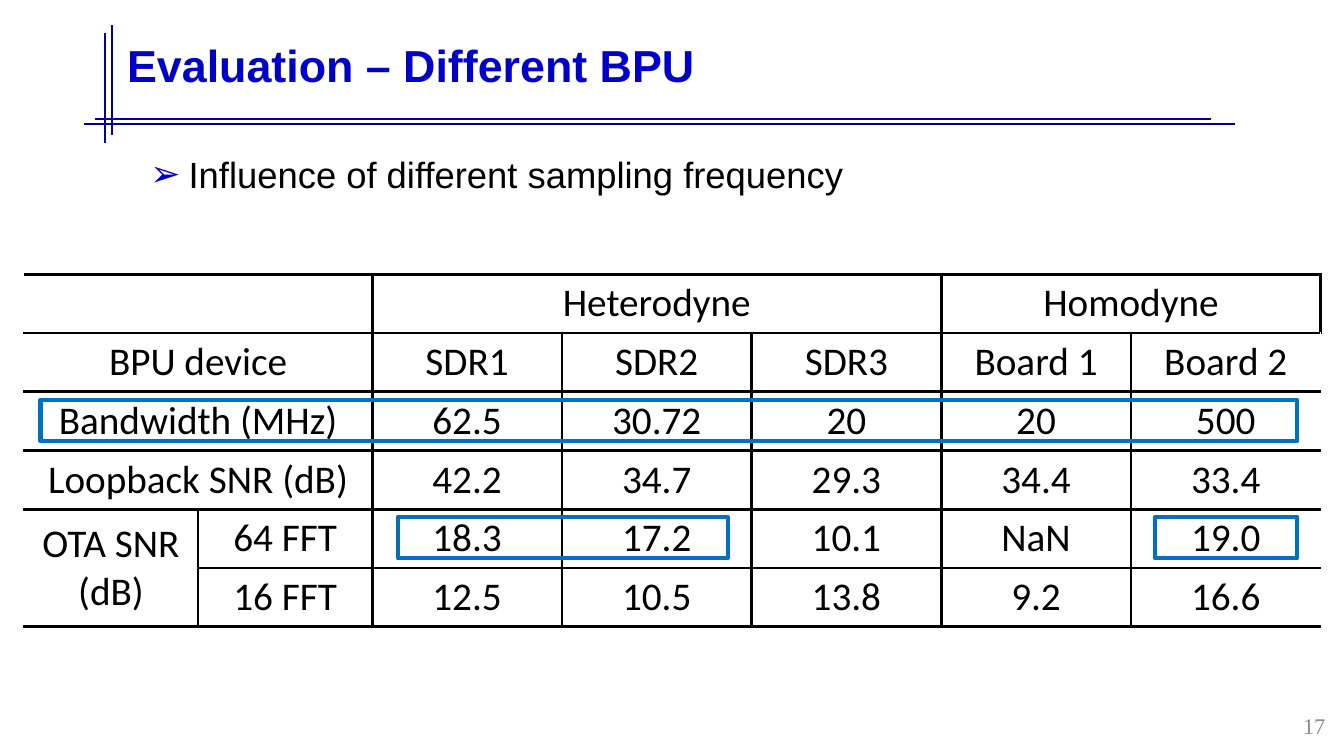
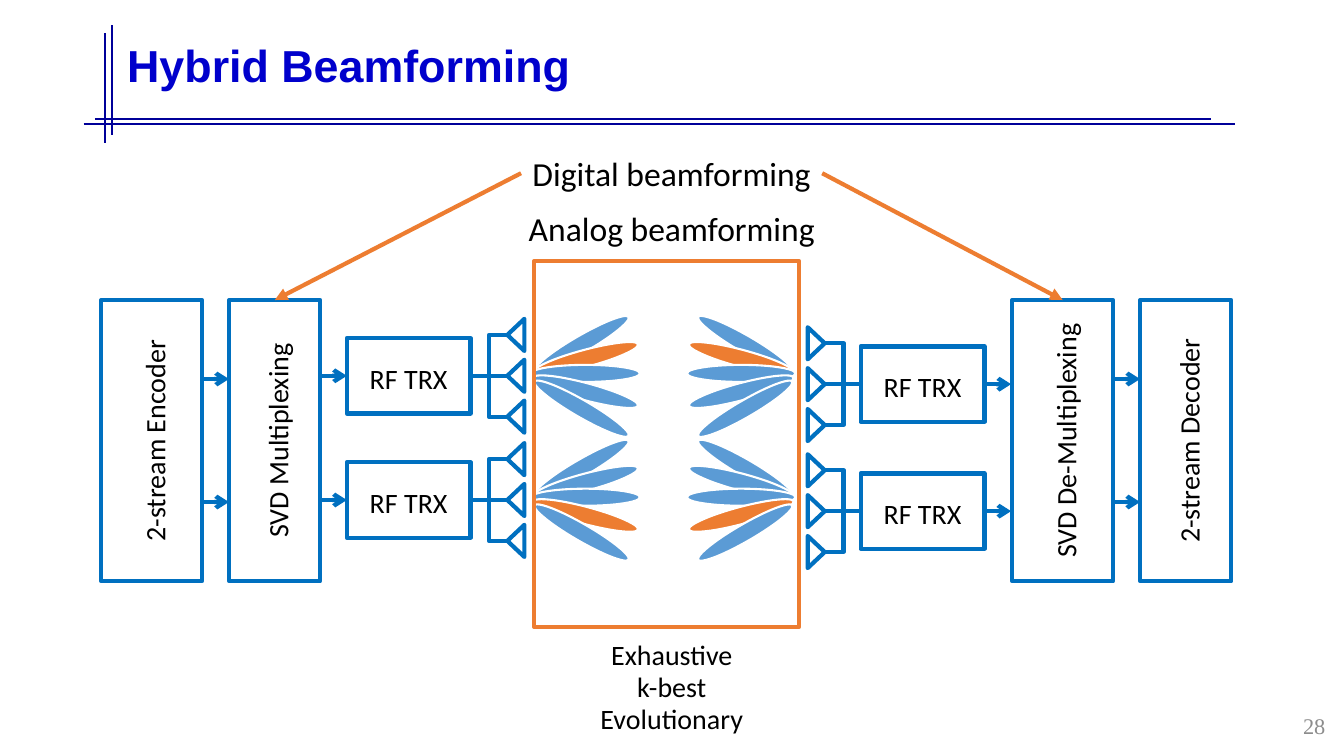
from lxml import etree
from pptx import Presentation
from pptx.dml.color import RGBColor
from pptx.enum.shapes import MSO_CONNECTOR, MSO_SHAPE
from pptx.enum.text import MSO_ANCHOR, PP_ALIGN
from pptx.oxml.ns import qn
from pptx.util import Cm, Pt

STRAIGHT = MSO_CONNECTOR.STRAIGHT
RECTANGLE, OVAL, MERGE = MSO_SHAPE.RECTANGLE, MSO_SHAPE.OVAL, MSO_SHAPE.FLOWCHART_MERGE
LEFT, CENTER, RIGHT = PP_ALIGN.LEFT, PP_ALIGN.CENTER, PP_ALIGN.RIGHT
MIDDLE = MSO_ANCHOR.MIDDLE
TOP_SITE, LEFT_SITE, RIGHT_SITE = 0, 1, 3

NAVY, TITLE_BLUE, BLUE = "000099", "0000CC", "0070C0"
LIGHT_BLUE, ORANGE = "5B9BD5", "ED7D31"
BLACK, GRAY, WHITE = "000000", "8C8C8C", "FFFFFF"


def paint(shape, line, width=3, fill=None, head=None):
    """Style the line of a shape or connector, its fill and its arrowhead."""
    shape.line.color.rgb = RGBColor.from_string(line)
    shape.line.width = Pt(width)
    properties = shape.element.spPr
    if head:
        etree.SubElement(properties.find(qn("a:ln")), qn("a:tailEnd"), type=head)
    if not hasattr(shape, "fill"):
        etree.SubElement(properties, qn("a:effectLst"))
        return
    shape.shadow.inherit = False
    if fill:
        shape.fill.solid()
        shape.fill.fore_color.rgb = RGBColor.from_string(fill)
    else:
        shape.fill.background()


def write(frame, text, size, font="Calibri", color=BLACK, align=CENTER):
    """Write one run into the first paragraph and return that paragraph."""
    paragraph = frame.paragraphs[0]
    paragraph.alignment = align
    run = paragraph.add_run()
    run.text = text
    run.font.size = Pt(size)
    run.font.name = font
    run.font.color.rgb = RGBColor.from_string(color)
    return paragraph


presentation = Presentation()
presentation.slide_width = Cm(33.87)
presentation.slide_height = Cm(19.05)
CONTENT_LAYOUT, TITLE_LAYOUT = presentation.slide_layouts[1], presentation.slide_layouts[5]

# Titles and page numbers
slides = []
for layout, title, number in [
    (CONTENT_LAYOUT, "Evaluation – Different BPU", "17"),
    (TITLE_LAYOUT, "Hybrid Beamforming", "28"),
]:
    slide = presentation.slides.add_slide(layout)
    slides.append(slide)
    heading = slide.shapes.title
    heading.left, heading.top, heading.width, heading.height = Cm(2.95), Cm(0.13), Cm(28.4), Cm(3.18)
    heading.text_frame.vertical_anchor = MIDDLE
    paragraph = write(heading.text_frame, title, 32, "Arial", TITLE_BLUE, LEFT)
    paragraph.line_spacing = 0.9
    paragraph.runs[0].font.bold = True
    page = slide.shapes.add_textbox(Cm(32.13), Cm(17.83), Cm(1.52), Cm(0.91))
    page.text_frame.word_wrap = True
    page.text_frame.vertical_anchor = MIDDLE
    write(page.text_frame, number, 16, "Times New Roman", GRAY, RIGHT)
table_slide, beam_slide = slides

# Crossed title rules, moved to the slide master
for index, (x1, y1, x2, y2) in enumerate([
    (2.39, 3, 30.53, 3),
    (2.11, 3.12, 31.12, 3.12),
    (2.64, 0.84, 2.64, 3.61),
    (2.82, 0.64, 2.82, 3.4),
]):
    rule = table_slide.shapes.add_connector(STRAIGHT, Cm(x1), Cm(y1), Cm(x2), Cm(y2))
    paint(rule, NAVY, 1.75)
    rule.element.find(".//" + qn("p:cNvPr")).set("id", str(100 + index))
    presentation.slide_master.shapes.element.append(rule.element)

# Evaluation: bullet
body = table_slide.placeholders[1]
body.left, body.top, body.width, body.height = Cm(3.53), Cm(3.71), Cm(23.24), Cm(1.37)
paragraph = body.text_frame.paragraphs[0]
paragraph.space_before = Pt(0)
bullet = paragraph._p.get_or_add_pPr()
bullet.set("marL", str(Cm(0.97)))
bullet.set("indent", str(-Cm(0.97)))
bullet_color = etree.SubElement(bullet, qn("a:buClr"))
etree.SubElement(bullet_color, qn("a:srgbClr"), val=TITLE_BLUE)
etree.SubElement(bullet, qn("a:buFont"), typeface="Arial")
etree.SubElement(bullet, qn("a:buChar"), char="➢")
write(body.text_frame, "Influence of different sampling frequency", 26, "Arial", align=LEFT)

# Evaluation: table
ROWS = [
    ["", "", "Heterodyne", "", "", "Homodyne", ""],
    ["BPU device", "", "SDR1", "SDR2", "SDR3", "Board 1", "Board 2"],
    ["Bandwidth (MHz)", "", "62.5", "30.72", "20", "20", "500"],
    ["Loopback SNR (dB)", "", "42.2", "34.7", "29.3", "34.4", "33.4"],
    ["OTA SNR (dB)", "64 FFT", "18.3", "17.2", "10.1", "NaN", "19.0"],
    ["", "16 FFT", "12.5", "10.5", "13.8", "9.2", "16.6"],
]
COLUMN_WIDTHS = [4.39] * 2 + [4.78] * 5
ROW_HEIGHT = 1.48
table = table_slide.shapes.add_table(
    len(ROWS), len(COLUMN_WIDTHS), Cm(0.6), Cm(6.91),
    Cm(sum(COLUMN_WIDTHS)), Cm(ROW_HEIGHT * len(ROWS)),
).table
table.first_row = table.horz_banding = False
for column, width in zip(table.columns, COLUMN_WIDTHS):
    column.width = Cm(width)
last_column = len(COLUMN_WIDTHS) - 1
for row_index, texts in enumerate(ROWS):
    table.rows[row_index].height = Cm(ROW_HEIGHT)
    for column_index, text in enumerate(texts):
        cell = table.cell(row_index, column_index)
        cell.vertical_anchor = MIDDLE
        edges = ["a:lnL"] * (column_index > 0) + ["a:lnR"] * (column_index < last_column)
        for edge in edges + ["a:lnT", "a:lnB"]:
            border = etree.SubElement(cell._tc.get_or_add_tcPr(), qn(edge), w=str(Pt(2.25)))
            border_fill = etree.SubElement(border, qn("a:solidFill"))
            etree.SubElement(border_fill, qn("a:srgbClr"), val=BLACK)
        cell.fill.background()
        if text:
            write(cell.text_frame, text, 28)
for first, last in [
    ((0, 0), (0, 1)), ((0, 2), (0, 4)), ((0, 5), (0, 6)),
    ((1, 0), (1, 1)), ((2, 0), (2, 1)), ((3, 0), (3, 1)), ((4, 0), (5, 0)),
]:
    table.cell(*first).merge(table.cell(*last))

for x, y, width in [(10.03, 13.03, 8.31), (29.11, 13.03, 3.58), (1.02, 10.08, 31.67)]:
    highlight = table_slide.shapes.add_shape(RECTANGLE, Cm(x), Cm(y), Cm(width), Cm(1.04))
    paint(highlight, BLUE)

# Beamforming: lobes, the right side mirroring the left
shapes = beam_slide.shapes
LOBE_WIDTH, LOBE_HEIGHT, LOBE_STEP, MIRROR_SUM = 2.74, 0.43, 3.12, 33.44
LOBE_CENTERS = [(14.66, 8.67), (14.76, 9.03), (14.76, 9.41), (14.76, 9.87), (14.66, 10.3)]
for mirrored in (False, True):
    for stream, selected in enumerate([1, 3]):
        for index, (x, y) in enumerate(LOBE_CENTERS):
            center = MIRROR_SUM - x if mirrored else x
            angle = 15 * (index - 2)
            lobe = shapes.add_shape(
                OVAL, Cm(center - LOBE_WIDTH / 2), Cm(y + stream * LOBE_STEP - LOBE_HEIGHT / 2),
                Cm(LOBE_WIDTH), Cm(LOBE_HEIGHT))
            lobe.rotation = (-angle if mirrored else angle) % 360
            paint(lobe, WHITE, 1.5, ORANGE if index == selected else LIGHT_BLUE)
frame = shapes.add_shape(RECTANGLE, Cm(13.46), Cm(6.58), Cm(6.68), Cm(9.22))
paint(frame, ORANGE)

# Beamforming: boxes; the tall ones carry vertical text
TRX_WIDTH, TRX_HEIGHT = 3.12, 1.9
LEFT_TRX, RIGHT_TRX = 8.74, 21.69
LEFT_MIDDLES, RIGHT_MIDDLES = (9.47, 12.6), (9.68, 12.88)
box_places = [
    ("2-stream Encoder", 2.55, 7.56, 2.54, 7.09),
    ("SVD Multiplexing", 5.78, 7.56, 2.29, 7.09),
    ("SVD De-Multiplexing", 25.51, 7.56, 2.54, 7.09),
    ("2-stream Decoder", 28.74, 7.56, 2.29, 7.09),
]
for x, middles in [(LEFT_TRX, LEFT_MIDDLES), (RIGHT_TRX, RIGHT_MIDDLES)]:
    for middle in middles:
        box_places.append(("RF TRX", x, middle - TRX_HEIGHT / 2, TRX_WIDTH, TRX_HEIGHT))
boxes = []
for text, x, y, width, height in box_places:
    box = shapes.add_shape(RECTANGLE, Cm(x), Cm(y), Cm(width), Cm(height))
    paint(box, BLUE)
    box.text_frame.vertical_anchor = MIDDLE
    if height > width:
        box.text_frame._txBody.bodyPr.set("vert", "vert270")
    paragraph = write(box.text_frame, text, 20)
    paragraph.line_spacing = 1.15
    paragraph.space_after = Pt(10)
    boxes.append(box)
encoder, multiplexer, demultiplexer, decoder, *transceivers = boxes

# Beamforming: stream arrows, antenna arrays and their feeds
for x1, x2 in [(5.1, 5.77), (28.07, 28.73)]:
    for y in (9.55, 12.65):
        arrow = shapes.add_connector(STRAIGHT, Cm(x1), Cm(y), Cm(x2), Cm(y))
        paint(arrow, BLUE, head="arrow")

ANTENNA_WIDTH, ANTENNA_HEIGHT, ANTENNA_STEP = 0.81, 0.43, 1.03
for pair, middles, bus, tip, antenna_x, angle, feed_site in [
    (transceivers[:2], LEFT_MIDDLES, 12.32, 12.8, 13, 90, RIGHT_SITE),
    (transceivers[2:], RIGHT_MIDDLES, 21.26, 20.78, 20.57, 270, LEFT_SITE),
]:
    for transceiver, middle in zip(pair, middles):
        top, bottom = middle - ANTENNA_STEP, middle + ANTENNA_STEP
        bracket = shapes.build_freeform(Cm(tip), Cm(top))
        bracket.add_line_segments(
            [(Cm(bus), Cm(top)), (Cm(bus), Cm(bottom)), (Cm(tip), Cm(bottom))], close=False)
        paint(bracket.convert_to_shape(), BLUE)
        for y in (top, middle, bottom):
            antenna = shapes.add_shape(
                MERGE, Cm(antenna_x - ANTENNA_WIDTH / 2), Cm(y - ANTENNA_HEIGHT / 2),
                Cm(ANTENNA_WIDTH), Cm(ANTENNA_HEIGHT))
            antenna.rotation = angle
            paint(antenna, BLUE)
        feed = shapes.add_connector(STRAIGHT, Cm(bus), Cm(middle), Cm(tip), Cm(middle))
        feed.begin_connect(transceiver, feed_site)
        paint(feed, BLUE)
        if feed_site == RIGHT_SITE:
            arrow = shapes.add_connector(STRAIGHT, Cm(8.08), Cm(middle), Cm(LEFT_TRX), Cm(middle))
            arrow.end_connect(transceiver, LEFT_SITE)
        else:
            arrow = shapes.add_connector(STRAIGHT, Cm(24.81), Cm(middle), Cm(25.48), Cm(middle))
            arrow.begin_connect(transceiver, RIGHT_SITE)
        paint(arrow, BLUE, head="arrow")

# Beamforming: labels and the arrows from the last one
label_places = [
    (text, 20, 14.86, 15.95 + 0.8 * index, 4.14, 1.12)
    for index, text in enumerate(["Exhaustive", "k-best", "Evolutionary"])
]
label_places += [
    ("Analog beamforming", 24, 13.03, 5.11, 7.8, 1.27),
    ("Digital beamforming", 24, 13.13, 3.73, 7.59, 1.27),
]
for text, size, x, y, width, height in label_places:
    label = shapes.add_textbox(Cm(x), Cm(y), Cm(width), Cm(height))
    label.text_frame.word_wrap = False
    write(label.text_frame, text, size)
for target, site in [(multiplexer, LEFT_SITE), (demultiplexer, RIGHT_SITE)]:
    pointer = shapes.add_connector(STRAIGHT, 0, 0, 0, 0)
    pointer.begin_connect(label, site)
    pointer.end_connect(target, TOP_SITE)
    paint(pointer, ORANGE, head="triangle")

presentation.save("out.pptx")
